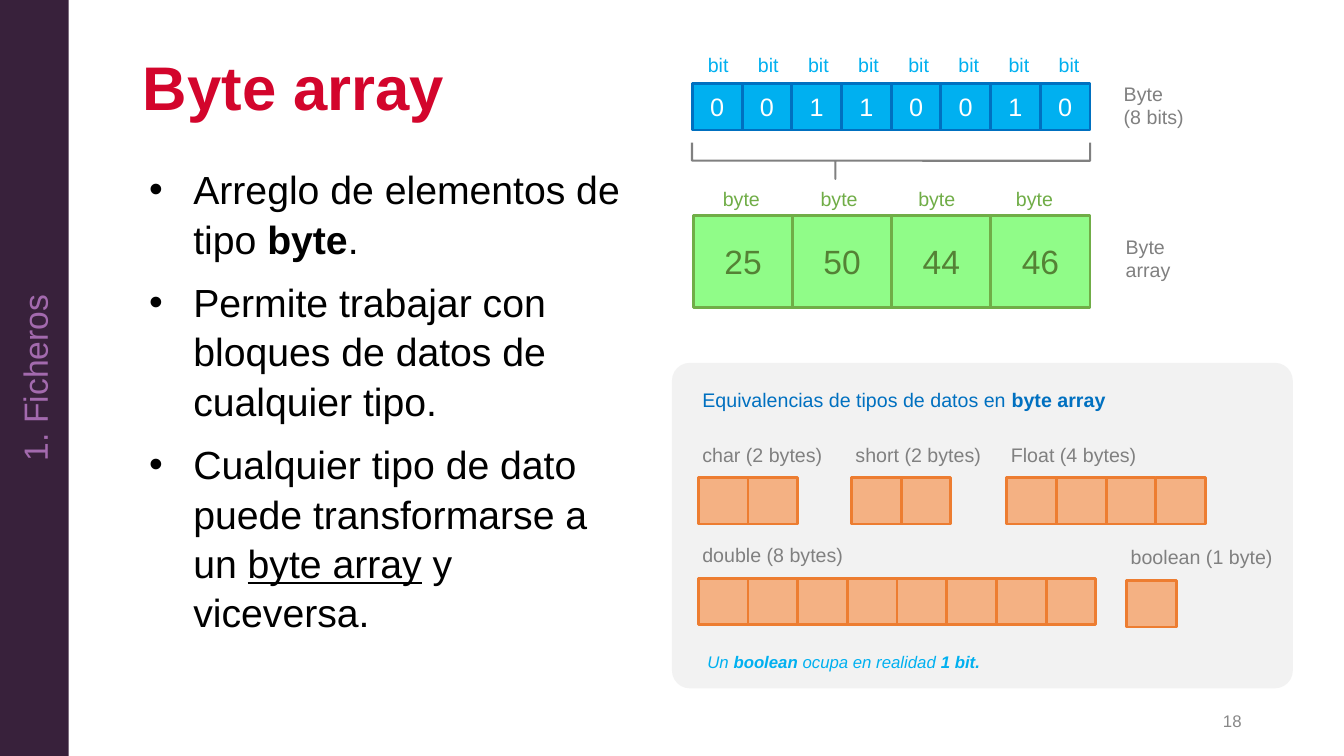
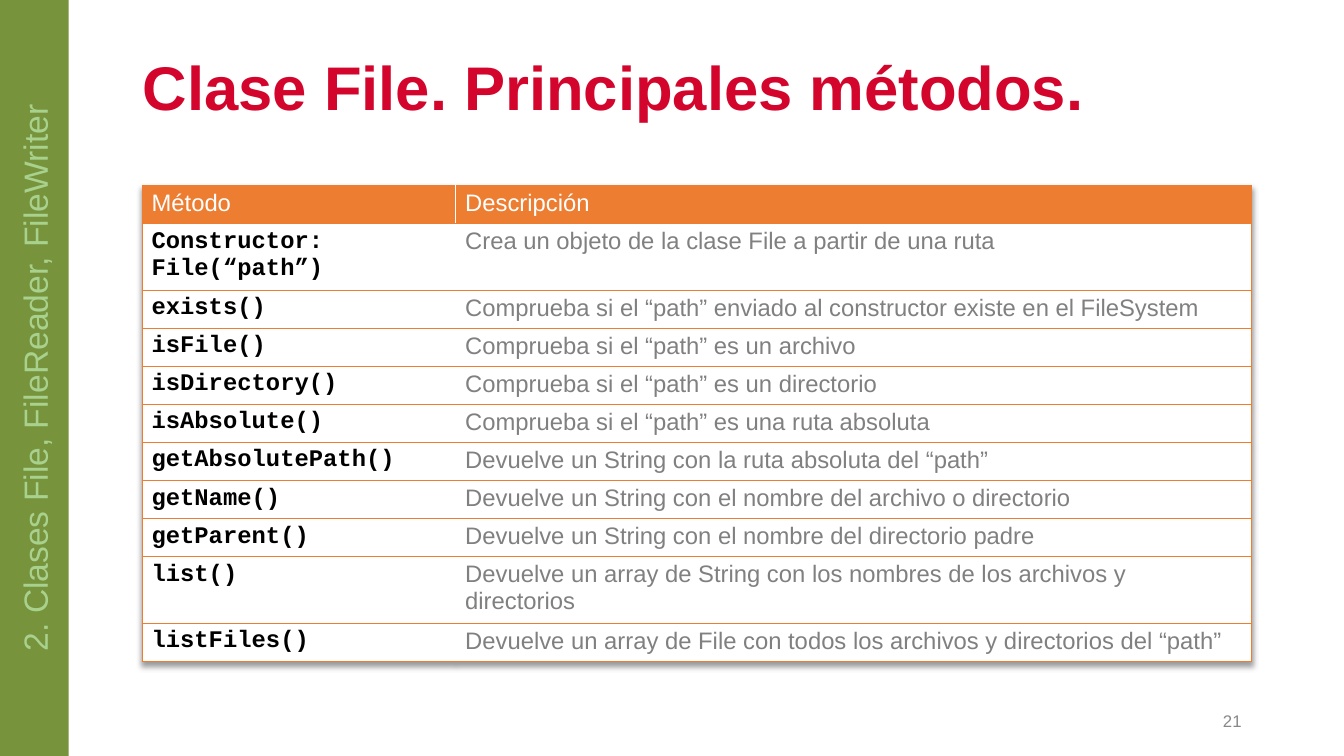
from lxml.etree import SubElement
from pptx import Presentation
from pptx.dml.color import RGBColor
from pptx.enum.shapes import MSO_SHAPE as SHAPE
from pptx.enum.text import MSO_ANCHOR as ANCHOR, PP_ALIGN as ALIGN
from pptx.oxml.ns import qn
from pptx.util import Pt

SANS = "Arial"
MONO = "Courier New"
RED = "D3052C"
GRAY = "808080"
PAGE_GRAY = "888888"
BLACK = "000000"
WHITE = "FFFFFF"
PANEL = "F2F2F2"
ORANGE = "ED7D31"
PEACH = "F4B183"
BLUE = "0070C0"
SKY = "00B0F0"
GREEN = "70AD47"
LIME = "90FC88"
DARK_GREEN = "548235"

BODY = [
    [("Arreglo de elementos de tipo ", ""), ("byte", "b"), (".", "")],
    [("Permite trabajar con bloques de datos de cualquier tipo.", "")],
    [("Cualquier tipo de dato puede transformarse a un ", ""),
     ("byte array", "u"), (" y viceversa.", "")],
]
TYPES = [
    ("char (2 bytes)", 494.6, 312.5, 2),
    ("short (2 bytes)", 604, 312.5, 2),
    ("Float (4 bytes)", 715, 312.5, 4),
    ("double (8 bytes)", 494.6, 384.5, 8),
    ("boolean (1 byte)", 800.6, 386, 1),
]
METHODS = [
    ("Método", "Descripción"),
    ("Constructor: File(“path”)", "Crea un objeto de la clase File a partir de una ruta"),
    ("exists()", "Comprueba si el “path” enviado al constructor existe en el FileSystem"),
    ("isFile()", "Comprueba si el “path” es un archivo"),
    ("isDirectory()", "Comprueba si el “path” es un directorio"),
    ("isAbsolute()", "Comprueba si el “path” es una ruta absoluta"),
    ("getAbsolutePath()", "Devuelve un String con la ruta absoluta del “path”"),
    ("getName()", "Devuelve un String con el nombre del archivo o directorio"),
    ("getParent()", "Devuelve un String con el nombre del directorio padre"),
    ("list()", "Devuelve un array de String con los nombres de los archivos y directorios"),
    ("listFiles()", "Devuelve un array de File con todos los archivos y directorios del “path”"),
]


def rgb(color):
    return RGBColor.from_string(color)


def style(r, size, color, font=SANS, marks=""):
    r.font.name = font
    r.font.size = Pt(size)
    r.font.color.rgb = rgb(color)
    r.font.bold = "b" in marks
    r.font.italic = "i" in marks
    r.font.underline = "u" in marks


def write(tf, paragraphs, size, color, align=ALIGN.LEFT):
    if isinstance(paragraphs, str):
        paragraphs = [[(line, "")] for line in paragraphs.split("\n")]
    for i, runs in enumerate(paragraphs):
        p = tf.add_paragraph() if i else tf.paragraphs[0]
        p.alignment = align
        for text, marks in runs:
            r = p.add_run()
            r.text = text
            style(r, size, color, marks=marks)


def add_text(s, box, paragraphs, size, color, align=ALIGN.LEFT, anchor=ANCHOR.TOP):
    tf = s.shapes.add_textbox(*map(Pt, box)).text_frame
    tf.word_wrap = True
    tf.vertical_anchor = anchor
    write(tf, paragraphs, size, color, align)
    return tf


def add_box(s, kind, box, fill=None, line=None, width=2):
    sp = s.shapes.add_shape(kind, *map(Pt, box))
    sp.shadow.inherit = False
    if fill:
        sp.fill.solid()
        sp.fill.fore_color.rgb = rgb(fill)
    else:
        sp.fill.background()
    if line:
        sp.line.color.rgb = rgb(line)
        sp.line.width = Pt(width)
    else:
        sp.line.fill.background()
    return sp


def add_cells(s, x, y, w, h, values, fill, line, size=18, color=WHITE):
    for i, value in enumerate(values):
        sp = add_box(s, SHAPE.RECTANGLE, (x + i * w, y, w, h), fill, line)
        if value:
            sp.text_frame.vertical_anchor = ANCHOR.MIDDLE
            write(sp.text_frame, value, size, color, ALIGN.CENTER)


def add_labels(s, center, y, pitch, count, text, color):
    for i in range(count):
        box = (center + i * pitch - 25, y, 50, 24.5)
        add_text(s, box, text, 14, color, ALIGN.CENTER)


def add_bullets(s, box, paragraphs):
    tf = add_text(s, box, paragraphs, 28, BLACK)
    for i, p in enumerate(tf.paragraphs):
        pPr = p._p.get_or_add_pPr()
        pPr.set("marL", str(Pt(36)))
        pPr.set("indent", str(-Pt(31.5)))
        SubElement(pPr, qn("a:buFont")).set("typeface", SANS)
        SubElement(pPr, qn("a:buChar")).set("char", "•")
        p.line_spacing = 1.05
        if i:
            p.space_before = Pt(10)


def add_border(cell, sides):
    tcPr = cell._tc.get_or_add_tcPr()
    for i, side in enumerate(sides):
        ln = tcPr.makeelement(qn(f"a:ln{side}"), {"w": str(Pt(1))})
        fill = SubElement(ln, qn("a:solidFill"))
        SubElement(fill, qn("a:srgbClr")).set("val", ORANGE)
        tcPr.insert(i, ln)


def add_table_shadow(table):
    tblPr = table._tbl.tblPr
    effects = tblPr.makeelement(qn("a:effectLst"), {})
    tblPr.insert(0, effects)
    shadow = SubElement(effects, qn("a:outerShdw"), blurRad=str(Pt(4)),
                        dist=str(Pt(3)), dir="5400000", algn="t", rotWithShape="0")
    clr = SubElement(shadow, qn("a:srgbClr"), val=BLACK)
    SubElement(clr, qn("a:alpha"), val="40000")


def add_methods(s, rows):
    row_h = 26.7
    frame = s.shapes.add_table(len(rows), 2, Pt(101.5), Pt(132.5), Pt(792.5), Pt(row_h * len(rows)))
    table = frame.table
    add_table_shadow(table)
    for col, w in zip(table.columns, (224, 568.5)):
        col.width = Pt(w)
    for i, texts in enumerate(rows):
        table.rows[i].height = Pt(row_h)
        looks = [(BLACK, MONO, "b"), (GRAY, SANS, "")] if i else [(WHITE, SANS, "")] * 2
        for j, (text, look) in enumerate(zip(texts, looks)):
            cell = table.cell(i, j)
            cell.margin_left = cell.margin_right = Pt(6.75)
            cell.margin_top = cell.margin_bottom = Pt(3.4)
            cell.fill.solid()
            cell.fill.fore_color.rgb = rgb(WHITE if i else ORANGE)
            cell.text_frame.text = text
            style(cell.text_frame.paragraphs[0].runs[0], 17, *look)
            add_border(cell, "RTB" if j else "LTB")


def add_slide(prs, title, number, section, band, section_color):
    s = prs.slides.add_slide(prs.slide_layouts[6])
    tf = add_text(s, (95, 33.8, 799, 62), [[(title, "b")]], 44, RED, anchor=ANCHOR.MIDDLE)
    tf.paragraphs[0].line_spacing = 0.9
    add_text(s, (678, 500.4, 216, 28.8), number, 12, PAGE_GRAY, ALIGN.RIGHT, ANCHOR.MIDDLE)
    sp = add_box(s, SHAPE.RECTANGLE, (0, 0, 49, 540), band)
    tf = sp.text_frame
    tf.vertical_anchor = ANCHOR.MIDDLE
    tf._txBody.bodyPr.set("vert", "vert270")
    write(tf, section, 24, section_color, ALIGN.CENTER)
    return s


def add_byte_diagram(s):
    add_cells(s, 494.6, 59.8, 35.5, 33.1, "00110010", SKY, BLUE)
    add_labels(s, 513, 34.6, 35.8, 8, "bit", SKY)
    add_text(s, (795.6, 54.7, 67, 41), "Byte\n(8 bits)", 14, GRAY)
    sp = add_box(s, SHAPE.RIGHT_BRACE, (623.5, -27.4, 26, 284.4), None, GRAY, 1.5)
    sp.rotation = 90
    sp.adjustments[0] = 0
    sp.adjustments[1] = 0.64
    add_cells(s, 495.4, 154, 70.8, 65.5, ["25", "50", "44", "46"], LIME, GREEN, 24, DARK_GREEN)
    add_labels(s, 529.6, 130.3, 69.8, 4, "byte", GREEN)
    add_text(s, (797, 164.2, 52.6, 41), "Byte array", 14, GRAY)


def add_type_panel(s):
    sp = add_box(s, SHAPE.ROUNDED_RECTANGLE, (480, 259.2, 443.5, 232.5), PANEL)
    sp.adjustments[0] = 0.055
    heading = [[("Equivalencias de tipos de datos en ", ""), ("byte array", "b")]]
    add_text(s, (494.6, 273.6, 330.5, 24.5), heading, 14, BLUE)
    for label, x, y, count in TYPES:
        add_text(s, (x, y, 122.4, 24.5), label, 14, GRAY)
        add_cells(s, x + 4.2, y + 28.8, 35.5, 33.1, [""] * count, PEACH, ORANGE)
    note = [[("Un ", "i"), ("boolean", "bi"), (" ocupa en realidad ", "i"), ("1 bit.", "bi")]]
    add_text(s, (498.2, 462.2, 217, 21.6), note, 12, SKY)


def main():
    prs = Presentation()
    prs.slide_width, prs.slide_height = Pt(960), Pt(540)
    s = add_slide(prs, "Byte array", "18", "1. Ficheros", "38213B", "A36AAE")
    add_bullets(s, (95, 113, 356.4, 376.6), BODY)
    add_type_panel(s)
    add_byte_diagram(s)
    s = add_slide(prs, "Clase File. Principales métodos.", "21",
                  "2. Clases File, FileReader, FileWriter", "77933C", "A9D18E")
    add_methods(s, METHODS)
    prs.save("out.pptx")


if __name__ == "__main__":
    main()
